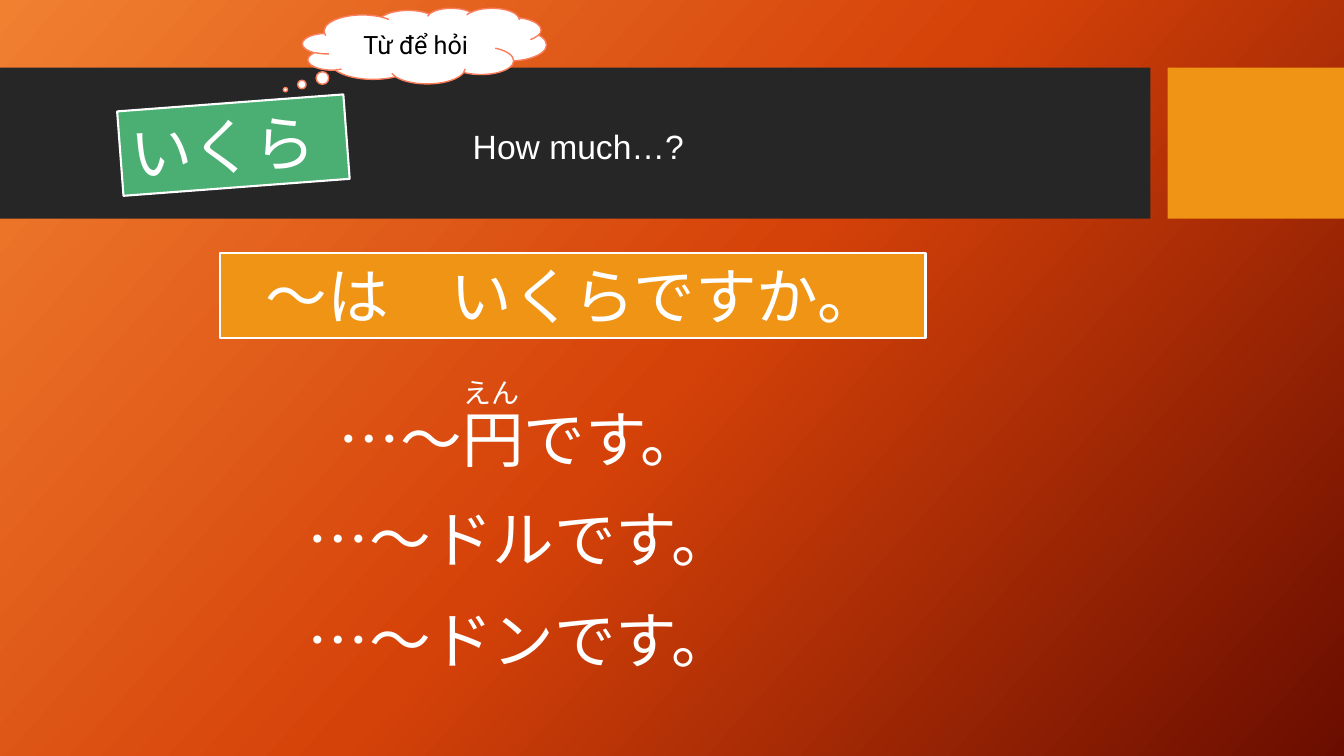
from lxml.etree import SubElement
from pptx import Presentation
from pptx.dml.color import RGBColor
from pptx.enum.shapes import MSO_SHAPE
from pptx.enum.text import MSO_ANCHOR, PP_ALIGN
from pptx.oxml.ns import qn
from pptx.util import Inches, Pt

WHITE = RGBColor(0xFF, 0xFF, 0xFF)
BLACK = RGBColor(0x00, 0x00, 0x00)
DARK = RGBColor(0x26, 0x26, 0x26)
AMBER = RGBColor(0xF0, 0x94, 0x15)
GREEN = RGBColor(0x4B, 0xAF, 0x73)
CORAL = RGBColor(0xFA, 0x7E, 0x5C)
STOPS = [(0, "F18031"), (50, "D54209"), (100, "6A0D00")]
ANGLE = 42
KANA = "Noto Sans CJK JP"
BIG = 44

BANDS = [((0, 0.67, 11.41, 1.5), DARK), ((11.58, 0.67, 1.75, 1.5), AMBER)]
WORD = "いくら"
HINT = "Từ để hỏi"
GLOSS = "How much…?"
ASK = "～は\u3000いくらですか。"
RUBY = "えん"
REPLIES = ["…～円です。", "…～ドルです。", "…～ドンです。"]
TOP, STEP = 3.92, 1.0

deck = Presentation()
deck.slide_width, deck.slide_height = Inches(13.33), Inches(7.5)
slide = deck.slides.add_slide(deck.slide_layouts[6])


def paint():
    fill = slide.background.fill
    fill.gradient()
    fill.gradient_angle = 360 - ANGLE
    stops = next(slide.background._cSld.iter(qn("a:gsLst")))
    for old in list(stops):
        stops.remove(old)
    for spot, color in STOPS:
        stop = SubElement(stops, qn("a:gs"), pos=str(spot * 1000))
        SubElement(stop, qn("a:srgbClr"), val=color)


def add_box(box, fill, line=None, width=1.5, kind=MSO_SHAPE.RECTANGLE):
    shape = slide.shapes.add_shape(kind, *map(Inches, box))
    shape.shadow.inherit = False
    shape.fill.solid()
    shape.fill.fore_color.rgb = fill
    if line is None:
        shape.line.fill.background()
    else:
        shape.line.color.rgb = line
        shape.line.width = Pt(width)
    return shape


def write(shape, text, size=BIG, font=KANA, color=WHITE, align=PP_ALIGN.CENTER):
    frame = shape.text_frame
    frame.word_wrap = True
    frame.vertical_anchor = MSO_ANCHOR.MIDDLE
    para = frame.paragraphs[0]
    para.alignment = align
    run = para.add_run()
    run.text = text
    run.font.size = Pt(size)
    run.font.color.rgb = color
    run.font.name = font
    SubElement(run.font._element, qn("a:ea"), typeface=font)


def add_text(box, text, **style):
    write(slide.shapes.add_textbox(*map(Inches, box)), text, **style)


paint()
for box, color in BANDS:
    add_box(box, color)

card = add_box((1.19, 1.02, 2.25, 0.84), GREEN, WHITE)
card.rotation = 355.7
write(card, WORD, align=PP_ALIGN.LEFT)

cloud = add_box((3, 0.08, 2.42, 0.75), WHITE, CORAL, 1, MSO_SHAPE.CLOUD_CALLOUT)
cloud.adjustments[0], cloud.adjustments[1] = -0.57, 0.58
write(cloud, HINT, size=18, font="Roboto", color=BLACK)

add_text((4.59, 1.19, 3.08, 0.51), GLOSS, size=24, font="Arial", align=PP_ALIGN.LEFT)
write(add_box((2.18, 2.51, 7, 0.84), AMBER, WHITE), ASK)
for row, reply in enumerate(REPLIES):
    add_text((2.58, TOP + row * STEP, 5.17, 0.84), reply)
add_text((4.5, 3.67, 0.92, 0.44), RUBY, size=20, align=PP_ALIGN.LEFT)

deck.save("out.pptx")
